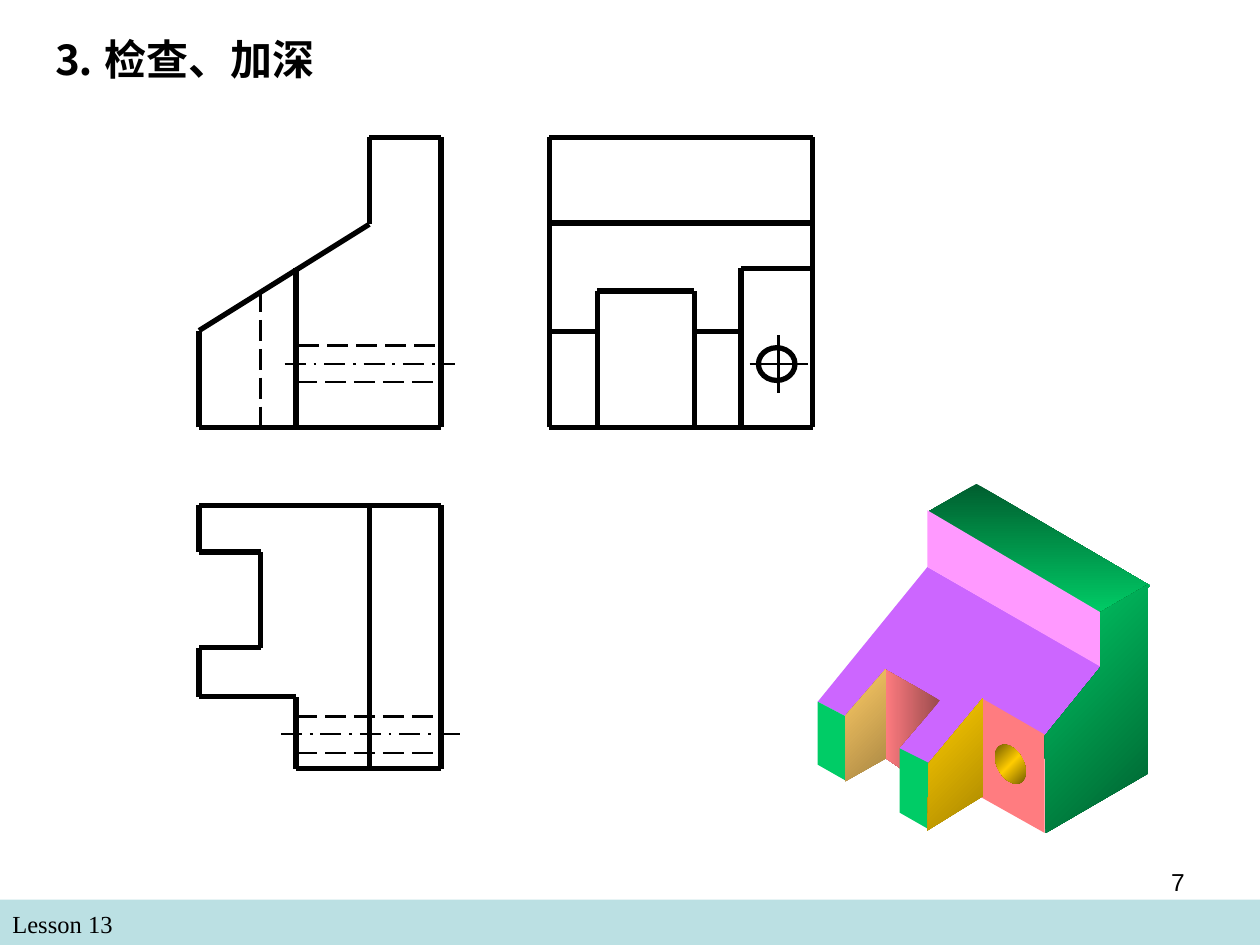
from copy import deepcopy
from math import cos, radians, sin

from lxml import etree
from pptx import Presentation
from pptx.dml.color import RGBColor
from pptx.enum.dml import MSO_LINE
from pptx.enum.shapes import MSO_CONNECTOR, MSO_SHAPE
from pptx.enum.text import PP_ALIGN
from pptx.oxml.ns import qn
from pptx.util import Pt

STRAIGHT = MSO_CONNECTOR.STRAIGHT
RECT, OVAL = MSO_SHAPE.RECTANGLE, MSO_SHAPE.OVAL
HIDDEN, AXIS = MSO_LINE.LONG_DASH, MSO_LINE.LONG_DASH_DOT
LEFT, RIGHT = PP_ALIGN.LEFT, PP_ALIGN.RIGHT


def color(code):
    return RGBColor.from_string(code)


class Sheet:
    ink = "000000"
    thick, thin = 3, 1.5
    serif, sans = "Times New Roman", "Arial"

    def __init__(self, slide):
        self.shapes = slide.shapes

    def text(self, words, x, y, w, h, size, font, bold=False, align=LEFT):
        frame = self.shapes.add_textbox(Pt(x), Pt(y), Pt(w), Pt(h)).text_frame
        frame.word_wrap = True
        frame.text = words
        para = frame.paragraphs[0]
        para.alignment = align
        face = para.runs[0].font
        face.size, face.name, face.bold = Pt(size), font, bold
        face.color.rgb = color(self.ink)

    def line(self, x1, y1, x2, y2, width=thick, dash=None):
        item = self.shapes.add_connector(STRAIGHT, Pt(x1), Pt(y1), Pt(x2), Pt(y2))
        item.line.color.rgb = color(self.ink)
        item.line.width = Pt(width)
        if dash:
            item.line.dash_style = dash
        etree.SubElement(item._element.spPr, qn("a:effectLst"))

    def chain(self, *points):
        for start, end in zip(points, points[1:]):
            self.line(*start, *end)

    def bar(self, x, y, w, h, fill):
        item = self.shapes.add_shape(RECT, Pt(x), Pt(y), Pt(w), Pt(h))
        item.shadow.inherit = False
        item.fill.solid()
        item.fill.fore_color.rgb = color(fill)
        item.line.fill.background()

    def ring(self, x, y, w, h):
        item = self.shapes.add_shape(OVAL, Pt(x), Pt(y), Pt(w), Pt(h))
        item.shadow.inherit = False
        item.fill.background()
        item.line.color.rgb = color(self.ink)
        item.line.width = Pt(self.thick)

    def face(self, points, *fills, angle=225):
        """One colour gives a plain face, more give a gradient at a clockwise angle."""
        spots = [(Pt(x), Pt(y)) for x, y in points]
        build = self.shapes.build_freeform(*spots[0])
        build.add_line_segments(spots[1:], close=True)
        item = build.convert_to_shape()
        item.shadow.inherit = False
        item.line.fill.background()
        if len(fills) == 1:
            item.fill.solid()
            item.fill.fore_color.rgb = color(fills[0])
            return
        item.fill.gradient()
        item.fill.gradient_angle = 360 - angle
        stops = item._element.spPr.find(qn("a:gradFill")).find(qn("a:gsLst"))
        while len(stops) < len(fills):
            stops.append(deepcopy(stops[0]))
        for i, (stop, fill) in enumerate(zip(item.fill.gradient_stops, fills)):
            stop.position = i / (len(fills) - 1)
            stop.color.rgb = color(fill)


def front(sheet):
    sheet.line(162.7, 208, 260, 208, sheet.thin, AXIS)
    sheet.line(149, 166.3, 149, 245, sheet.thin, HIDDEN)
    sheet.line(170.5, 197.3, 252, 197.3, sheet.thin, HIDDEN)
    sheet.line(169.2, 218.2, 252, 218.2, sheet.thin, HIDDEN)
    sheet.chain((211, 128.2), (211, 78.5), (252, 78.5), (252, 244.2),
                (113.8, 244.2), (113.8, 188.9), (211, 128.2))
    sheet.line(169.2, 153.4, 169.2, 244.2)


def side(sheet):
    sheet.line(445, 191.5, 445, 224.6, sheet.thin)
    sheet.line(428.4, 208, 461.5, 208, sheet.thin)
    sheet.ring(433.4, 198.7, 20.9, 18.7)
    sheet.chain((313.9, 78.5), (464.4, 78.5), (464.4, 244.2),
                (313.9, 244.2), (313.9, 78.5))
    sheet.line(313.9, 127.4, 464.4, 127.4)
    sheet.chain((341.3, 244.2), (341.3, 166.3), (396.7, 166.3), (396.7, 244.2))
    sheet.chain((423.4, 244.2), (423.4, 153.4), (464.4, 153.4))
    sheet.line(313.9, 189.4, 341.3, 189.4)
    sheet.line(396.7, 189.4, 423.4, 189.4)


def plan(sheet):
    sheet.line(160.6, 419.4, 262.8, 419.4, sheet.thin, AXIS)
    for y in (409.5, 430.4):
        sheet.line(169.2, y, 252, y, sheet.thin, HIDDEN)
    sheet.chain((113.8, 288.7), (252, 288.7), (252, 439.2), (169.2, 439.2),
                (169.2, 398.2), (113.8, 398.2), (113.8, 370.1), (149, 370.1),
                (149, 315.4), (113.8, 315.4), (113.8, 288.7))
    sheet.line(211, 439.2, 211, 288.7)


def solid(sheet):
    # Slope and inner walls
    sheet.face([(530, 324), (467.3, 401), (483.8, 409.7), (505.4, 385.2),
                (536.4, 400.3), (512, 427), (531.4, 437), (561.6, 399.6),
                (597, 420.5), (629.3, 381)], "CC66FF")
    sheet.face([(561, 399), (597, 419.8), (597, 476), (561, 455.8)], "FF7C80")
    sheet.face([(505.4, 382.3), (537.1, 400.3), (514.1, 427), (514.8, 439.2),
                (505.4, 432.7)], "9A4B4D", "FF7C80", angle=180)
    # Top, upright and right side
    sheet.face([(530.6, 292.3), (558, 276.5), (657.4, 334.8), (629.3, 350.6)],
               "005E2F", "00CC66", angle=90)
    sheet.face([(530, 291.6), (530, 324), (630, 381.6), (630, 350.6)], "FF99FF")
    sheet.face([(656, 334.1), (656, 442.1), (597.6, 476), (597, 420.5),
                (628.6, 381.6), (628.6, 350)], "005E2F", "00CC66")
    # Feet
    sheet.face([(467.3, 401), (483.8, 409.7), (483.8, 446.4), (467.3, 437)], "00CC66")
    sheet.face([(514.1, 427.7), (531.4, 436.3), (530.6, 473.8), (514.1, 464.4)], "00CC66")
    sheet.face([(483.1, 409), (506.2, 382.3), (506.2, 433.4), (483.1, 446.4)],
               "A98743", "FFCC66")
    # Slanted hole
    turns = [radians(a) for a in range(0, 360, 10)]
    sheet.face([(577.4 + 8.8 * cos(t), 436.7 + 11.2 * sin(t + 0.4)) for t in turns],
               "755E00", "FFCC00", "755E00")
    sheet.face([(530.6, 436.3), (530, 474.5), (561.6, 455), (561.6, 399)],
               "A98700", "FFCC00")


def main():
    deck = Presentation()
    deck.slide_width, deck.slide_height = Pt(720), Pt(540)
    sheet = Sheet(deck.slides.add_slide(deck.slide_layouts[6]))
    # Footer
    sheet.bar(0, 514, 720, 26, "BBE0E3")
    sheet.text("Lesson 13", 0, 516.2, 348, 24.5, 14, sheet.serif)
    # Three views
    side(sheet)
    plan(sheet)
    front(sheet)
    # Title, solid and page number
    sheet.text("⒊ 检查、加深", 23, 15.8, 223, 36, 24, sheet.serif, bold=True)
    solid(sheet)
    sheet.text("7", 516, 492, 168, 37.5, 14, sheet.sans, align=RIGHT)
    deck.save("out.pptx")


if __name__ == "__main__":
    main()
